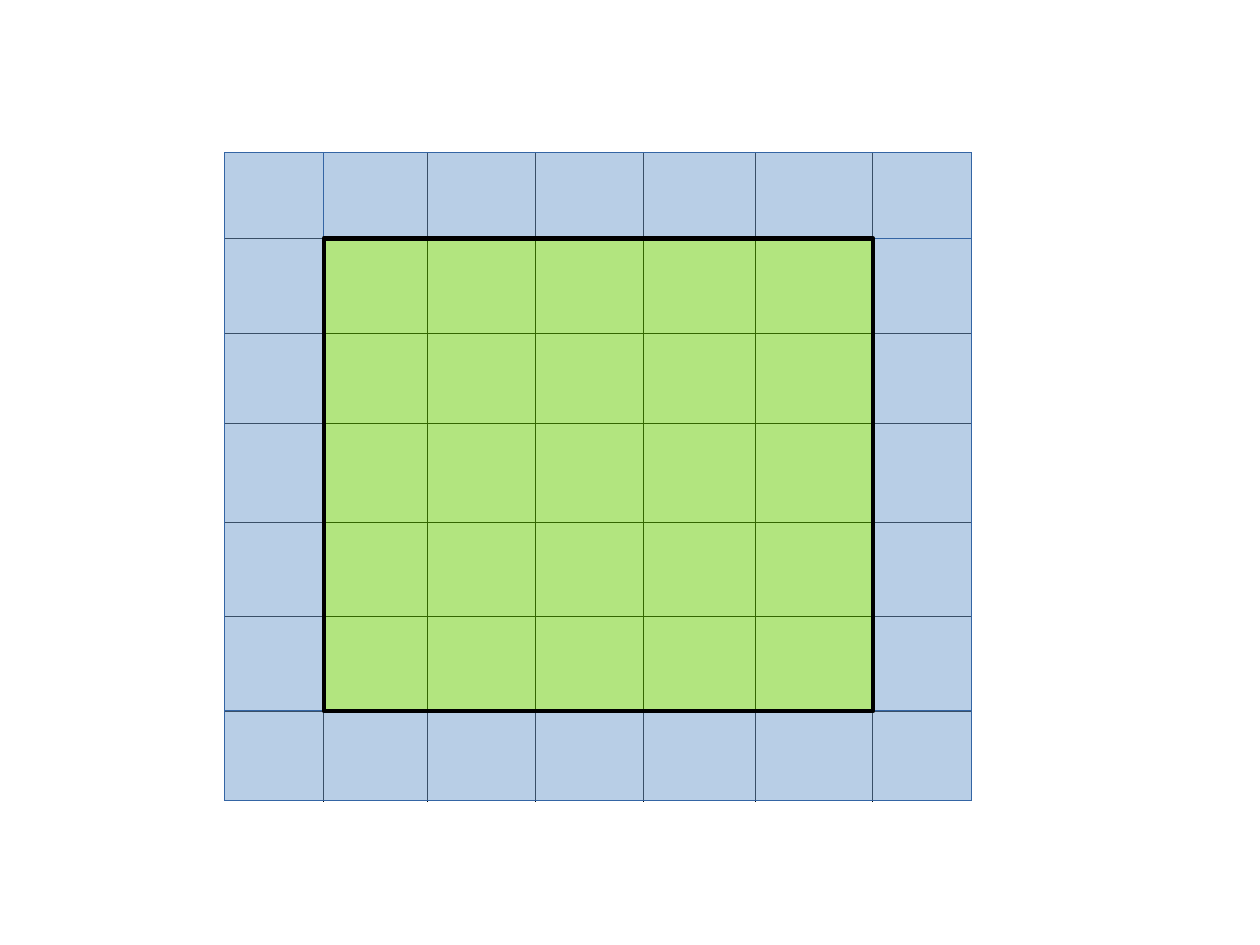
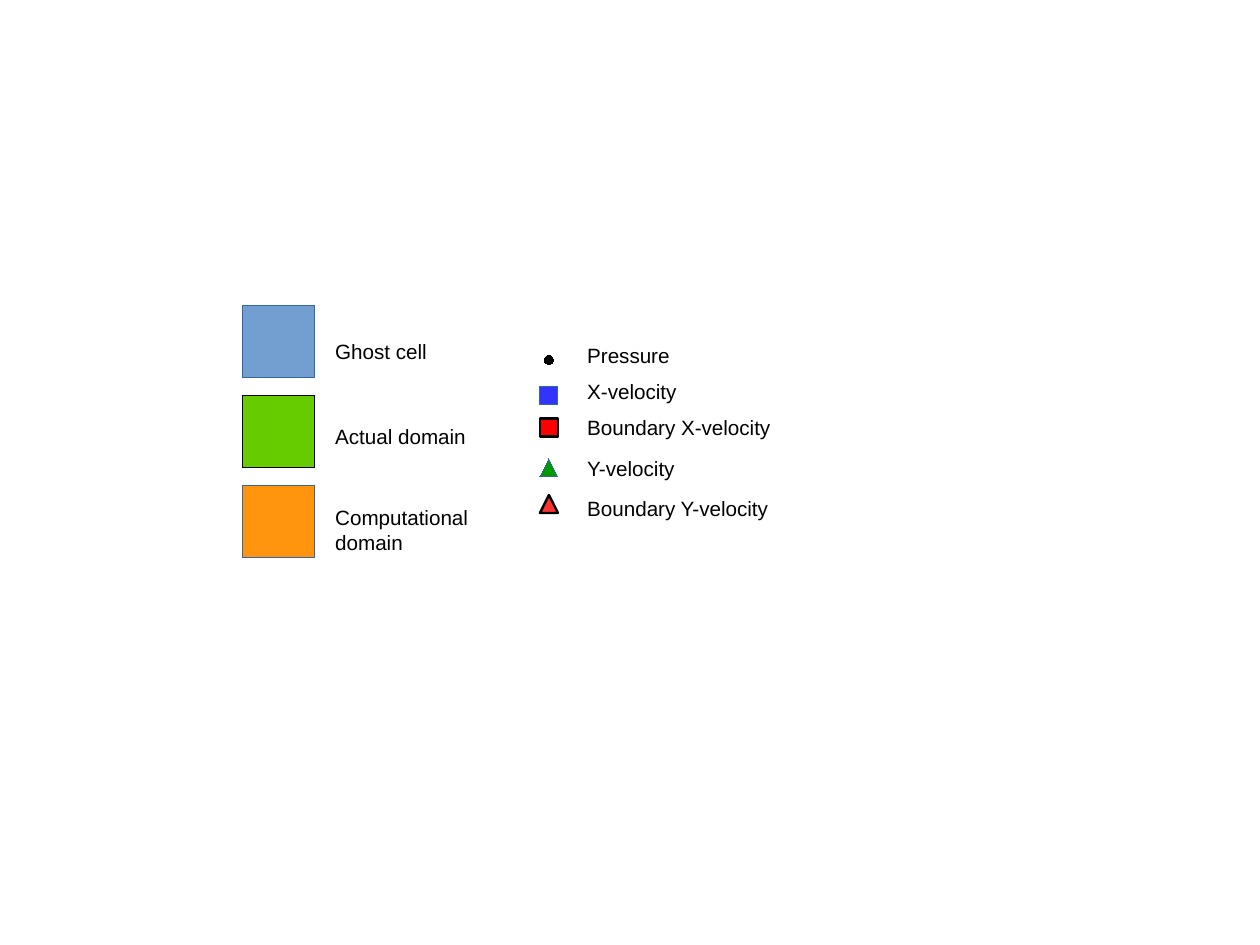
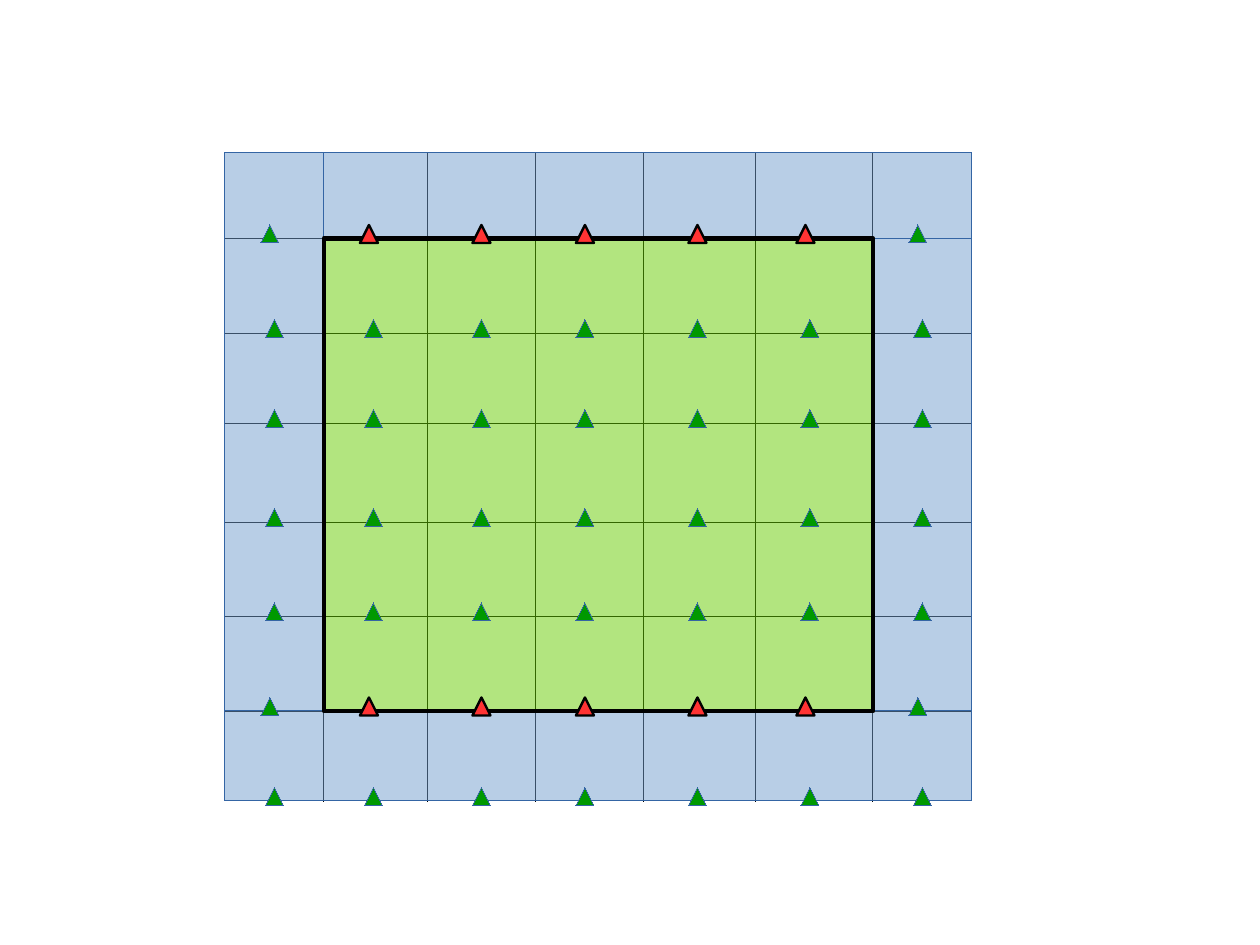
from dataclasses import dataclass

from lxml import etree
from pptx import Presentation
from pptx import util as u
from pptx.dml.color import RGBColor
from pptx.enum import shapes, text
from pptx.oxml import ns


@dataclass(frozen=True)
class Theme:
    font: str = "Arial"
    label_size: float = 13
    ink: str = "000000"
    edge: str = "3465A4"
    ghost: str = "729FCF"
    actual: str = "66CC00"
    computational: str = "FF950E"
    x_velocity: str = "3333FF"
    x_boundary: str = "FF0000"
    y_velocity: str = "009900"
    y_boundary: str = "FF3333"
    hairline: float = 0.01
    marker_line: float = 1.5
    domain_line: float = 3


theme = Theme()
RECT = shapes.MSO_SHAPE.RECTANGLE
TRIANGLE = shapes.MSO_SHAPE.ISOSCELES_TRIANGLE
DOT = shapes.MSO_SHAPE.OVAL


def add_block(slide, kind, box, fill, edge=theme.edge, width=theme.hairline, opacity=100):
    block = slide.shapes.add_shape(kind, *map(u.Cm, box))
    block.shadow.inherit = False
    block.line.color.rgb = RGBColor.from_string(edge)
    block.line.width = u.Pt(width)
    if fill is None:
        block.fill.background()
        return
    block.fill.solid()
    block.fill.fore_color.rgb = RGBColor.from_string(fill)
    if opacity < 100:
        color = block.element.spPr.find(ns.qn("a:solidFill"))[0]
        etree.SubElement(color, ns.qn("a:alpha"), val=str(opacity * 1000))


def add_grid_line(slide, x1, y1, x2, y2):
    line = slide.shapes.add_connector(
        shapes.MSO_CONNECTOR.STRAIGHT, *map(u.Cm, (x1, y1, x2, y2)))
    line.line.color.rgb = RGBColor.from_string(theme.ink)
    line.line.width = u.Pt(theme.hairline)
    etree.SubElement(line.element.spPr, ns.qn("a:effectLst"))


prs = Presentation()
prs.slide_width, prs.slide_height = u.Cm(28), u.Cm(21)
mesh_slide, legend_slide, velocity_slide = [
    prs.slides.add_slide(prs.slide_layouts[6]) for _ in range(3)]

cols = [5, 7.2, 9.5, 11.9, 14.3, 16.8, 19.4, 21.6]
rows = [3.4, 5.3, 7.4, 9.4, 11.6, 13.7, 15.8, 17.8]
last = len(cols) - 1
inner = last - 1
ghost_spans = [(1, 0, last, 1), (0, 0, 1, inner), (inner, 1, last, inner), (0, inner, last, last)]
mesh_frame = [((0, 0, last, last), None, theme.ink, theme.hairline)]
mesh_cover = [(span, theme.ghost, theme.edge, theme.hairline) for span in ghost_spans]
mesh_cover.append(((1, 1, inner, inner), theme.actual, theme.ink, theme.domain_line))

for slide in (mesh_slide, velocity_slide):
    for layer in (mesh_frame, mesh_cover):
        for (left, top, right, bottom), fill, edge, width in layer:
            box = (cols[left], rows[top], cols[right] - cols[left], rows[bottom] - rows[top])
            add_block(slide, RECT, box, fill, edge, width, opacity=50)
        if layer is mesh_frame:
            for x in cols[1:-1]:
                add_grid_line(slide, x, rows[0], x, rows[-1])
            for y in reversed(rows[1:-1]):
                add_grid_line(slide, cols[0], y, cols[-1], y)

marker = 0.4
swatch = 1.6
swatch_left, swatch_top, swatch_pitch = 5.4, 6.8, 2
swatches = [(theme.ghost, theme.edge), (theme.actual, theme.ink), (theme.computational, theme.edge)]
for index, (fill, edge) in enumerate(swatches):
    box = (swatch_left, swatch_top + index * swatch_pitch, swatch, swatch)
    add_block(legend_slide, RECT, box, fill, edge)

marker_center = 12.2
markers = [
    (DOT, 7.9, marker / 2, theme.ink, theme.ink, theme.hairline),
    (RECT, 8.6, marker, theme.x_velocity, theme.edge, theme.hairline),
    (RECT, 9.3, marker, theme.x_boundary, theme.ink, theme.marker_line),
    (TRIANGLE, 10.2, marker, theme.y_velocity, theme.edge, theme.hairline),
    (TRIANGLE, 11, marker, theme.y_boundary, theme.ink, theme.marker_line),
]
for kind, top, size, fill, edge, width in markers:
    add_block(legend_slide, kind, (marker_center - size / 2, top, size, size), fill, edge, width)

domain_left, variable_left = 7.2, 12.8
label_width, one_line, two_lines = 3.6, 0.76, 1.27
labels = [
    ("Ghost cell", domain_left, 7.4, label_width, one_line),
    ("Actual domain", domain_left, 9.3, label_width, one_line),
    ("Computational domain", domain_left, 11.1, label_width, two_lines),
    ("Pressure", variable_left, 7.5, label_width, one_line),
    ("X-velocity", variable_left, 8.3, label_width, one_line),
    ("Boundary X-velocity", variable_left, 9.1, 5.6, one_line),
    ("Y-velocity", variable_left, 10, label_width, one_line),
    ("Boundary Y-velocity", variable_left, 10.9, 4.6, one_line),
]
for wording, *box in labels:
    frame = legend_slide.shapes.add_textbox(*map(u.Cm, box)).text_frame
    frame.word_wrap = True
    frame.auto_size = text.MSO_AUTO_SIZE.SHAPE_TO_FIT_TEXT
    frame.text = wording
    font = frame.paragraphs[0].runs[0].font
    font.name, font.size = theme.font, u.Pt(theme.label_size)
    font.color.rgb = RGBColor.from_string(theme.ink)

velocity_lefts = [5.9, 8.1, 10.5, 12.8, 15.3, 17.8, 20.3]
marker_rise = 0.3
wall_shift = 0.1
for row in range(1, last + 1):
    on_wall = row in (1, inner)
    for col, left in enumerate(velocity_lefts):
        if on_wall and col in (0, 1, inner - 1, inner):
            left -= wall_shift
        box = (left, rows[row] - marker_rise, marker, marker)
        if on_wall and 0 < col < inner:
            add_block(velocity_slide, TRIANGLE, box, theme.y_boundary, theme.ink, theme.marker_line)
        else:
            add_block(velocity_slide, TRIANGLE, box, theme.y_velocity)

prs.save("out.pptx")
